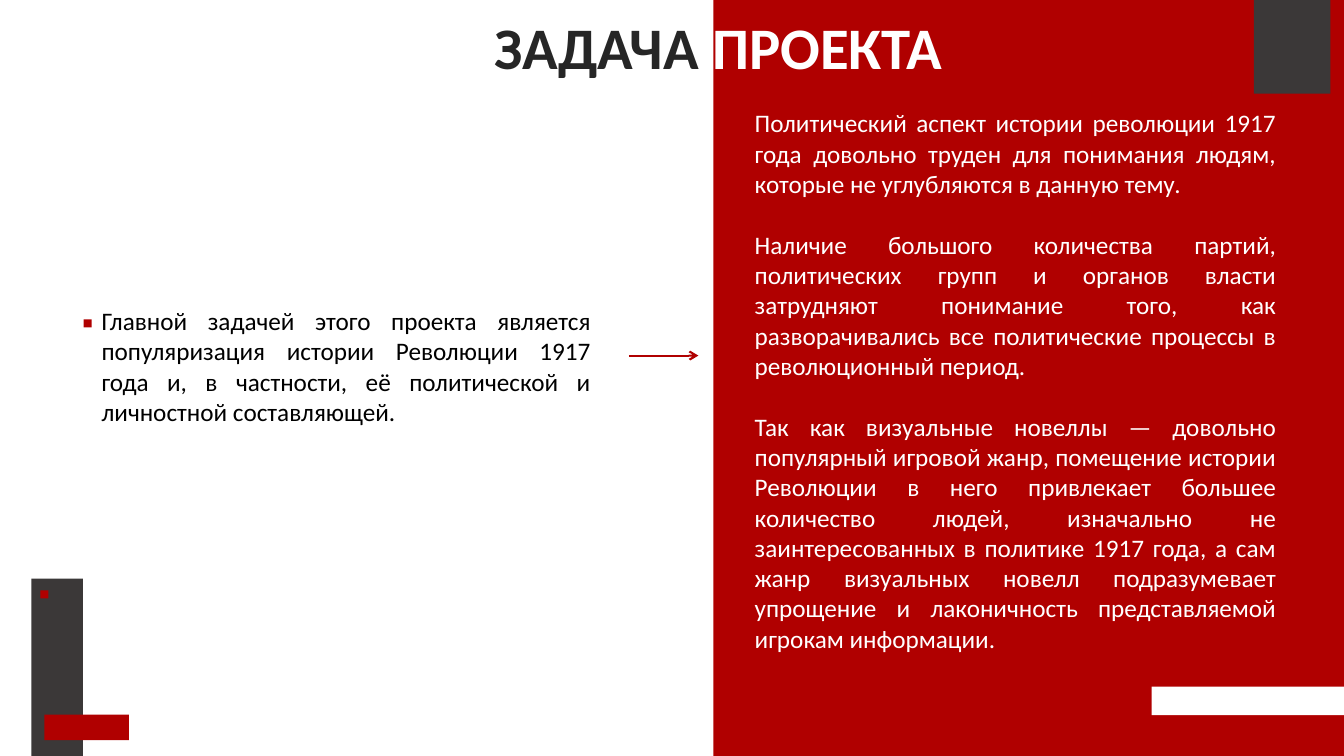
import pptx
import pptx.util
import pptx.dml.color
import pptx.enum.shapes
import pptx.enum.text
import lxml.etree
from pptx.util import Cm

COLORS = {"red": "B00000", "dark": "3B3838", "title": "262626",
          "white": "FFFFFF", "black": "000000"}
BODY = {"name": "Calibri", "size": pptx.util.Pt(18)}
TITLE = {"name": "Calibri", "size": pptx.util.Pt(42), "bold": True}
WIDTH, HEIGHT, SPLIT = 33.87, 19.05, 17.98

TASK = ("Главной задачей этого проекта является популяризация истории Революции "
        "1917 года и, в частности, её политической и личностной составляющей.")
REASONS = [
    "Политический аспект истории революции 1917 года довольно труден для понимания "
    "людям, которые не углубляются в данную тему.",
    "Наличие большого количества партий, политических групп и органов власти "
    "затрудняют понимание того, как разворачивались все политические процессы "
    "в революционный период.",
    "Так как визуальные новеллы — довольно популярный игровой жанр, помещение "
    "истории Революции в него привлекает большее количество людей, изначально не "
    "заинтересованных в политике 1917 года, а сам жанр визуальных новелл "
    "подразумевает упрощение и лаконичность представляемой игрокам информации.",
]


def rgb(color):
    return pptx.dml.color.RGBColor.from_string(COLORS[color])


def add_rect(s, x, y, w, h, color):
    sp = s.shapes.add_shape(pptx.enum.shapes.MSO_SHAPE.RECTANGLE,
                            Cm(x), Cm(y), Cm(w), Cm(h))
    sp.shadow.inherit = False
    sp.fill.solid()
    sp.fill.fore_color.rgb = rgb(color)
    sp.line.fill.background()


def add_text(s, x, y, w, h, paragraphs, font, align, gap=0):
    """Each paragraph is a list of (text, color) runs."""
    tf = s.shapes.add_textbox(Cm(x), Cm(y), Cm(w), Cm(h)).text_frame
    tf.word_wrap = True
    for i, runs in enumerate(paragraphs):
        p = tf.add_paragraph() if i else tf.paragraphs[0]
        p.alignment = align
        p.space_before = pptx.util.Pt(gap if i else 0)
        for text, color in runs:
            r = p.add_run()
            r.text = text
            for key, value in font.items():
                setattr(r.font, key, value)
            r.font.color.rgb = rgb(color)


def add_arrow(s, x, y, length):
    line = s.shapes.add_connector(pptx.enum.shapes.MSO_CONNECTOR.STRAIGHT,
                                  Cm(x), Cm(y), Cm(x + length), Cm(y))
    line.line.color.rgb = rgb("red")
    line.line.width = pptx.util.Pt(1.5)
    qn = pptx.oxml.ns.qn
    lxml.etree.SubElement(line.line._get_or_add_ln(), qn("a:tailEnd"), type="arrow")
    lxml.etree.SubElement(line._element.spPr, qn("a:effectLst"))


def build_task(s, x, y, w, h):
    """Left half: task with its bullet, arrow and corner bars."""
    justify = pptx.enum.text.PP_ALIGN.JUSTIFY
    add_text(s, x + 2.31, y + 7.57, 12.83, 3.33, [[(TASK, "black")]], BODY, justify)
    add_rect(s, x + 0.79, y + h - 4.47, 1.3, 4.47, "dark")
    for left, top in [(1.02, 14.88), (2.11, 8.05)]:
        add_rect(s, x + left, y + top, 0.2, 0.2, "red")
    add_rect(s, x + 1.12, y + h - 1.04, 2.13, 0.64, "red")
    add_arrow(s, x + w - 2.13, y + 8.96, 1.75)


def build_reasons(s, x, y, w, h):
    """Right half: red panel with reasons and corner bars."""
    add_rect(s, x, y, w, h, "red")
    justify = pptx.enum.text.PP_ALIGN.JUSTIFY
    add_text(s, x + 0.79, y + 2.59, 13.64, 14.88,
             [[(reason, "white")] for reason in REASONS], BODY, justify, gap=22)
    add_rect(s, x + w - 2.27, y, 1.93, 2.36, "dark")
    add_rect(s, x + w - 4.85, y + h - 1.75, 4.85, 0.72, "white")


def build_title(s, x, y, w, h):
    """Title that changes color where the halves meet."""
    add_text(s, x, y, w, h, [[("ЗАДАЧА ", "title"), ("ПРОЕКТА", "white")]],
             TITLE, pptx.enum.text.PP_ALIGN.LEFT)


def main():
    prs = pptx.Presentation()
    prs.slide_width, prs.slide_height = Cm(WIDTH), Cm(HEIGHT)
    s = prs.slides.add_slide(prs.slide_layouts[6])
    build_reasons(s, SPLIT, 0, WIDTH - SPLIT, HEIGHT)
    build_task(s, 0, 0, SPLIT, HEIGHT)
    build_title(s, 12.22, 0.15, 12.73, 2.06)
    prs.save("out.pptx")


if __name__ == "__main__":
    main()
